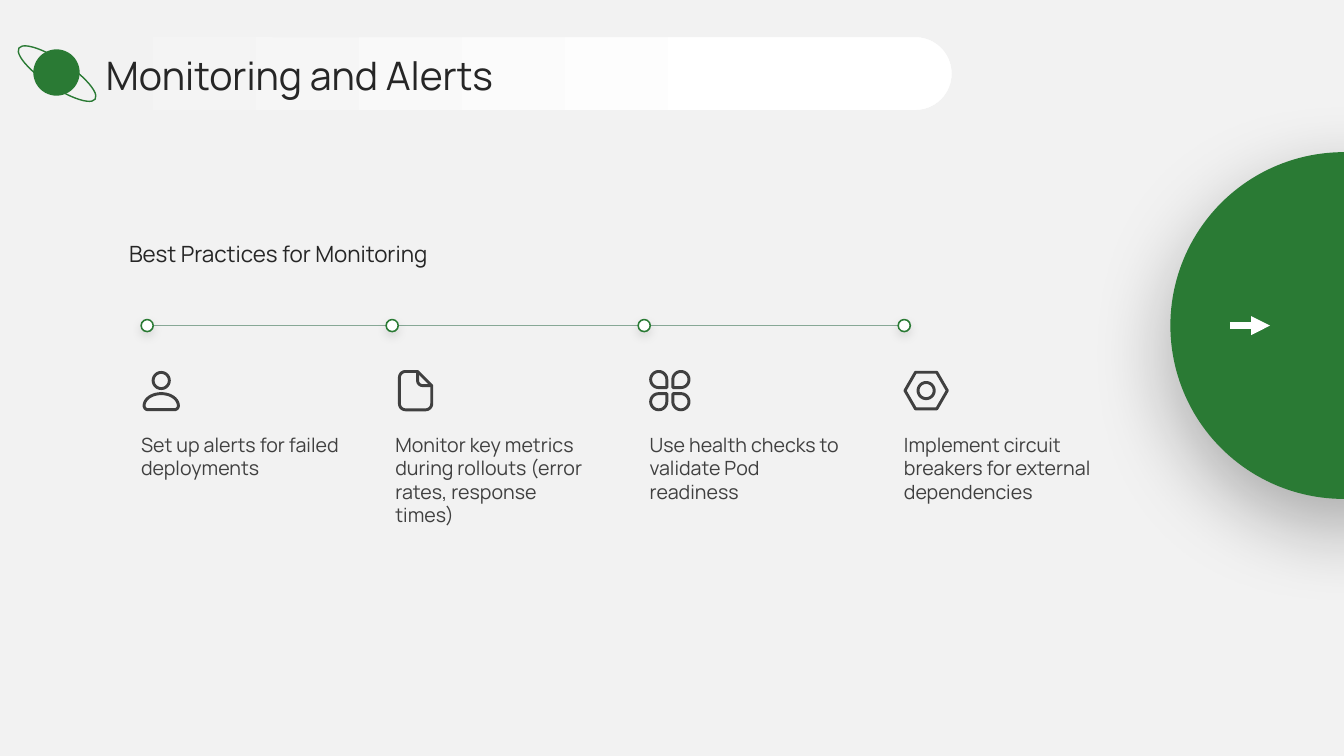
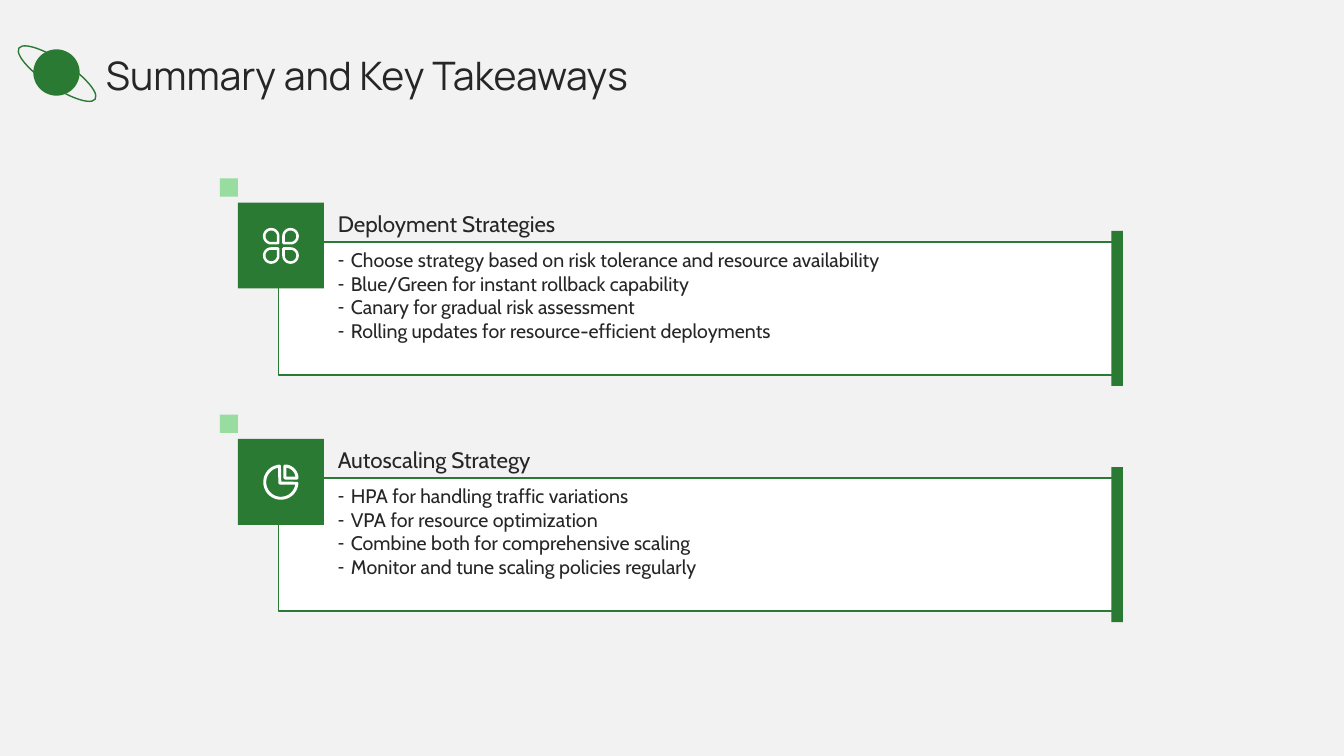
"""Builds two slides on monitoring practices and rollout takeaways."""
from math import cos, radians, sin

from lxml import etree
from pptx import Presentation
from pptx import util as u
from pptx.dml.color import RGBColor
from pptx.enum import shapes, text
from pptx.oxml.ns import qn

WIDTH, HEIGHT = u.Inches(13.33), u.Inches(7.5)
GREEN = RGBColor(0x2A, 0x7A, 0x34)
MINT = RGBColor(0x98, 0xDC, 0xA0)
SAGE = RGBColor(0x87, 0xA8, 0x96)
PAPER = RGBColor(0xF2, 0xF2, 0xF2)
WHITE = RGBColor(0xFF, 0xFF, 0xFF)
INK = RGBColor(0x26, 0x26, 0x26)
GREY = RGBColor(0x40, 0x40, 0x40)
OVAL, RECT = shapes.MSO_SHAPE.OVAL, shapes.MSO_SHAPE.RECTANGLE
TOP, MIDDLE, BOTTOM = (text.MSO_ANCHOR.TOP, text.MSO_ANCHOR.MIDDLE,
                       text.MSO_ANCHOR.BOTTOM)

TITLE = {"name": "Manrope", "size": u.Pt(28), "bold": False}
SUBTITLE = {"name": "Manrope", "size": u.Pt(16), "bold": False}
CAPTION = {"name": "Manrope", "size": u.Pt(14), "bold": False}
CARD_HEADING = {"name": "Cabin", "size": u.Pt(16), "bold": False}
CARD_LIST = {"name": "Cabin", "size": u.Pt(14), "bold": False}

COLUMN_LEFT, COLUMN_STEP, CARD_STEP = 10.5, 18.92, 31.25
RAIL_Y = 43.07
DOT_CENTRES = (10.95, 29.18, 47.93, 67.28)


def across(share):
    """Return a percentage of the slide's width."""
    return u.Emu(round(WIDTH * share / 100))


def down(share):
    """Return a percentage of the slide's height."""
    return u.Emu(round(HEIGHT * share / 100))


def box(left, top, width, height):
    """Return a frame given in percentages of the slide."""
    return across(left), down(top), across(width), down(height)


def arc(x, y, rx, ry, start, end):
    """Return points along an elliptical arc, clockwise in degrees."""
    steps = max(6, round((end - start) / 9))
    angles = [radians(start + (end - start) * i / steps) for i in range(steps + 1)]
    return [(x + rx * cos(a), y + ry * sin(a)) for a in angles]


def person():
    """Return the outlines of a head and shoulders."""
    shoulders = (arc(0, 0.15, 0.17, 0.12, 180, 360)
                 + arc(0.13, 0.15, 0.04, 0.04, 0, 90)
                 + arc(-0.13, 0.15, 0.04, 0.04, 90, 180))
    return [(arc(0, -0.1, 0.08, 0.08, 0, 360), True), (shoulders, True)]


def document():
    """Return the outlines of a page with a folded corner."""
    fold = [(0.02, -0.19), (0.16, -0.05)]
    page = (arc(-0.1, -0.13, 0.06, 0.06, 180, 270) + fold
            + arc(0.1, 0.13, 0.06, 0.06, 0, 90)
            + arc(-0.1, 0.13, 0.06, 0.06, 90, 180))
    flap = arc(0.07, -0.1, 0.05, 0.05, 180, 90)
    return [(page, True), (fold[:1] + flap + fold[1:], False)]


def petals():
    """Return the outlines of four mirrored petals."""
    petal = arc(-0.11, -0.11, 0.08, 0.08, 90, 360) + [(-0.03, -0.03)]
    return [([(x * sx, y * sy) for x, y in petal], True)
            for sx in (1, -1) for sy in (1, -1)]


def nut():
    """Return the outlines of a hexagon with a round hole."""
    middle = 0.02
    return [(arc(middle, 0, 0.08, 0.08, 0, 360), True),
            ([(middle + 0.21 * cos(radians(a)), 0.21 * sin(radians(a)))
              for a in range(0, 360, 60)], True)]


def pie():
    """Return the outlines of a pie and its detached quarter."""
    return [(arc(0, 0, 0.16, 0.16, 4, 265) + [(-0.01, 0.01)], True),
            (arc(0.04, -0.04, 0.12, 0.12, 270, 360) + [(0.04, -0.04)], True)]


def add_icon(slide, outlines, x, y, color, scale=1.0):
    """Draw stroked outlines around a centre."""
    def emu(point):
        return (across(x) + u.Inches(point[0] * scale),
                down(y) + u.Inches(point[1] * scale))

    builder = None
    for points, closed in outlines:
        first, *rest = map(emu, points)
        if builder is None:
            builder = slide.shapes.build_freeform(*first)
        else:
            builder.move_to(*first)
        builder.add_line_segments(rest, close=closed)
    icon = builder.convert_to_shape()
    icon.shadow.inherit = False
    icon.fill.background()
    icon.line.color.rgb = color
    icon.line.width = u.Pt(2.1 * scale)


def add_form(slide, kind, frame, fill=None, line=None, weight=1):
    """Add a preset shape without shadow."""
    form = slide.shapes.add_shape(kind, *frame)
    form.shadow.inherit = False
    if fill is None:
        form.fill.background()
    else:
        form.fill.solid()
        form.fill.fore_color.rgb = fill
    if line is None:
        form.line.fill.background()
    else:
        form.line.color.rgb = line
        form.line.width = u.Pt(weight)
    return form


def cast_shadow(form, alpha, blur, distance):
    """Give a shape a soft black shadow below it."""
    effects = form.element.spPr.find(qn("a:effectLst"))
    shadow = etree.SubElement(effects, qn("a:outerShdw"), {
        "blurRad": str(u.Pt(blur)), "dist": str(u.Pt(distance)),
        "dir": "5400000", "algn": "ctr", "rotWithShape": "0"})
    black = etree.SubElement(shadow, qn("a:srgbClr"), val="000000")
    etree.SubElement(black, qn("a:alpha"), val=str(alpha * 1000))


def add_line(slide, start, end, y, color, weight, arrow=False):
    """Add a level line, with an arrowhead if wanted."""
    line = slide.shapes.add_connector(shapes.MSO_CONNECTOR.STRAIGHT, across(start),
                                      down(y), across(end), down(y))
    line.line.color.rgb = color
    line.line.width = u.Pt(weight)
    properties = line.element.spPr
    if arrow:
        etree.SubElement(properties.find(qn("a:ln")), qn("a:tailEnd"), type="triangle")
    etree.SubElement(properties, qn("a:effectLst"))


def write(holder, lines, style, color=INK, anchor=TOP, margins=(0, 0, 0, 0),
          bullet=None):
    """Fill a text holder with left-aligned paragraphs."""
    frame = holder.text_frame
    left, top, right, bottom = map(u.Inches, margins)
    layout = {"word_wrap": True, "auto_size": text.MSO_AUTO_SIZE.NONE,
              "vertical_anchor": anchor, "margin_left": left, "margin_top": top,
              "margin_right": right, "margin_bottom": bottom}
    for name, value in layout.items():
        setattr(frame, name, value)
    for number, words in enumerate(lines):
        paragraph = frame.add_paragraph() if number else frame.paragraphs[0]
        properties = paragraph._p.get_or_add_pPr()
        indent = u.Inches(0.13) if bullet else 0
        properties.set("marL", str(indent))
        properties.set("indent", str(-indent))
        if bullet:
            etree.SubElement(properties, qn("a:buChar"), char=bullet)
        else:
            etree.SubElement(properties, qn("a:buNone"))
        paragraph.alignment = text.PP_ALIGN.LEFT
        paragraph.space_before = u.Pt(0)
        run = paragraph.add_run()
        run.text = words
        for name, value in style.items():
            setattr(run.font, name, value)
        run.font.color.rgb = color


def fill_placeholder(slide, index, frame, lines, style, **options):
    """Move a placeholder to the front of the slide and fill it."""
    holder = slide.placeholders[index]
    holder.left, holder.top, holder.width, holder.height = frame
    holder.element.getparent().append(holder.element)
    write(holder, lines, style, **options)


def add_header(slide, title):
    """Add the title and the ringed planet beside it."""
    fill_placeholder(slide, 0, box(7.88, 6.53, 87.5, 6.8), [title], TITLE,
                     anchor=MIDDLE)
    add_form(slide, OVAL, box(2.48, 6.53, 3.45, 6.13), GREEN)
    ring = add_form(slide, OVAL, box(0.83, 8, 6.83, 3.47), line=GREEN)
    ring.rotation = 33.8


def add_title_band(slide):
    """Add the rounded band that fades in from the left."""
    band = add_form(slide, shapes.MSO_SHAPE.ROUNDED_RECTANGLE,
                    box(3.75, 4.93, 67.05, 9.6), WHITE)
    band.adjustments[0] = 0.5
    band.fill.gradient()
    band.fill.gradient_angle = 0
    for stop, color, position in zip(band.fill.gradient_stops, (PAPER, WHITE), (0, 0.8)):
        stop.color.rgb = color
        stop.position = position


def add_practice(slide, number, outlines, words):
    """Add one timeline column: dot, icon and caption."""
    left = COLUMN_LEFT + number * COLUMN_STEP
    dot = add_form(slide, OVAL, box(DOT_CENTRES[number] - 0.45, RAIL_Y - 0.8, 0.9, 1.6),
                   WHITE, GREEN, 1.1)
    cast_shadow(dot, 11, 7, 3)
    add_icon(slide, outlines, left + 1.5, 51.67, GREY)
    caption = slide.shapes.add_textbox(*box(left, 56.67, 16.58, 28))
    write(caption, [words], CAPTION, GREY, margins=(0, 0.04, 0.24, 0.04))


def add_card(slide, number, outlines, scale, heading, points):
    """Add one takeaway card with its icon tile, heading and list."""
    def frame(left, top, width, height):
        return box(left, top + number * CARD_STEP, width, height)

    add_form(slide, RECT, frame(20.7, 32, 62.7, 17.6), WHITE, GREEN)
    add_form(slide, RECT, frame(82.7, 30.53, 0.85, 20.53), GREEN)
    add_form(slide, RECT, frame(17.7, 26.8, 6.4, 11.37), GREEN)
    add_form(slide, RECT, frame(16.35, 23.6, 1.35, 2.4), MINT)
    add_icon(slide, outlines, 20.9, 32.53 + number * CARD_STEP, WHITE, scale)
    fill_placeholder(slide, 1 + 2 * number, frame(25.13, 25.87, 56.25, 5.47),
                     [heading], CARD_HEADING, anchor=BOTTOM)
    fill_placeholder(slide, 2 + 2 * number, frame(25.13, 32.8, 56.25, 15.73),
                     points, CARD_LIST, bullet="-")


def build_monitoring(prs):
    """Build the slide with the timeline of practices."""
    slide = prs.slides.add_slide(prs.slide_layouts[1])
    disc = add_form(slide, OVAL, box(87.08, 20.13, 25.8, 45.87), GREEN)
    cast_shadow(disc, 30, 60, 20)
    add_line(slide, 91.5, 94.5, RAIL_Y, WHITE, 4.5, arrow=True)
    add_line(slide, 11.2, 67.7, RAIL_Y, SAGE, 0.82)
    fill_placeholder(slide, 1, box(9.6, 22.8, 74.33, 12.53),
                     ["Best Practices for Monitoring"], SUBTITLE, anchor=BOTTOM)
    practices = [
        (person(), "Set up alerts for failed deployments"),
        (document(), "Monitor key metrics during rollouts (error rates, response times)"),
        (petals(), "Use health checks to validate Pod readiness"),
        (nut(), "Implement circuit breakers for external dependencies"),
    ]
    for number, practice in enumerate(practices):
        add_practice(slide, number, *practice)
    add_title_band(slide)
    add_header(slide, "Monitoring and Alerts")


def build_summary(prs):
    """Build the slide with the takeaway cards."""
    slide = prs.slides.add_slide(prs.slide_layouts[4])
    cards = [
        (petals(), 0.87, "Deployment Strategies",
         ["Choose strategy based on risk tolerance and resource availability",
          "Blue/Green for instant rollback capability",
          "Canary for gradual risk assessment",
          "Rolling updates for resource-efficient deployments"]),
        (pie(), 1, "Autoscaling Strategy",
         ["HPA for handling traffic variations",
          "VPA for resource optimization",
          "Combine both for comprehensive scaling",
          "Monitor and tune scaling policies regularly"]),
    ]
    for number, card in enumerate(cards):
        add_card(slide, number, *card)
    add_header(slide, "Summary and Key Takeaways")


def main():
    """Build and save the presentation."""
    prs = Presentation()
    prs.slide_width, prs.slide_height = WIDTH, HEIGHT
    backdrop = prs.slide_master.background.fill
    backdrop.solid()
    backdrop.fore_color.rgb = PAPER
    build_monitoring(prs)
    build_summary(prs)
    prs.save("out.pptx")


if __name__ == "__main__":
    main()
